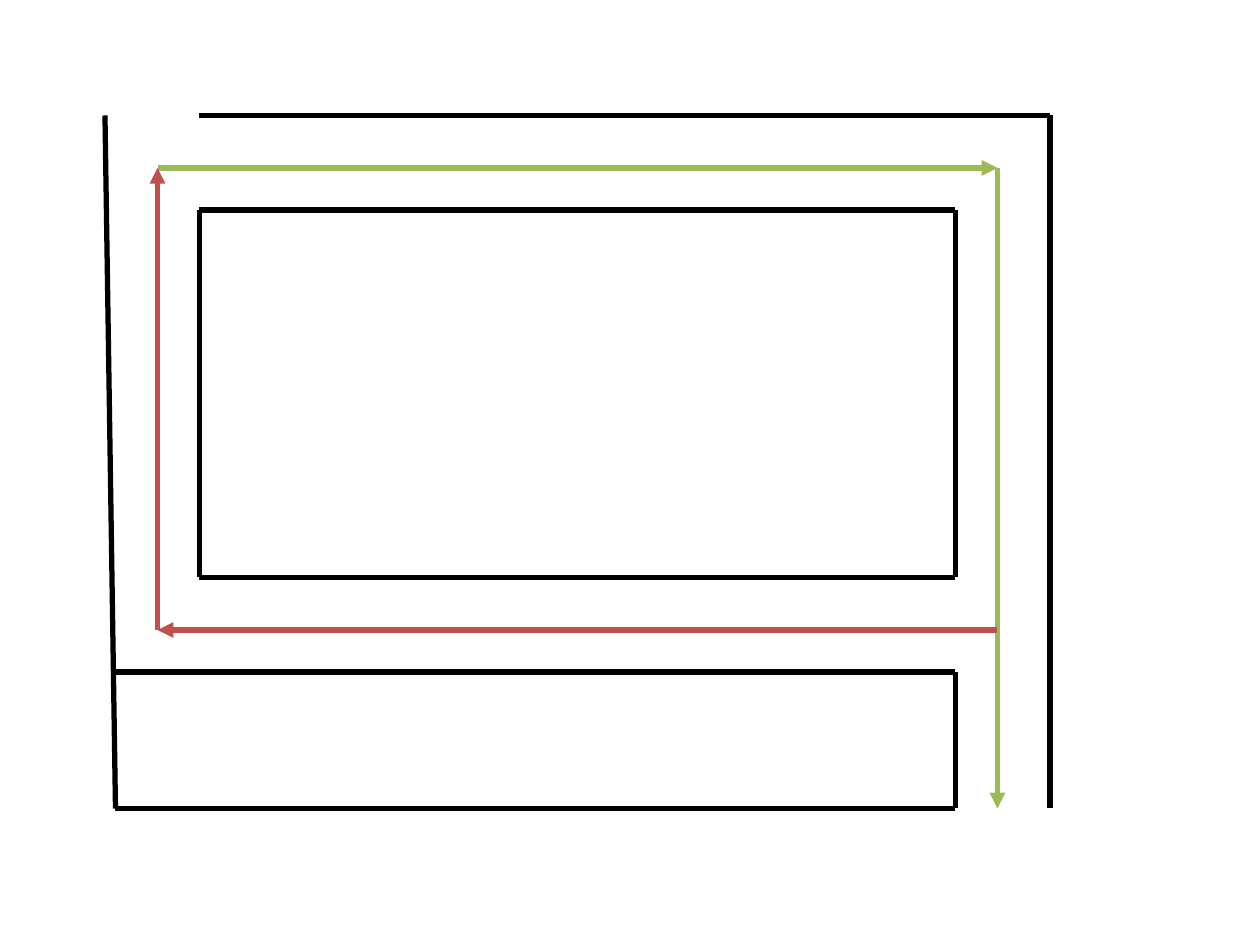
from itertools import pairwise

from pptx import Presentation
from pptx.dml.color import RGBColor
from pptx.enum.shapes import MSO_CONNECTOR
from pptx.oxml.ns import qn
from pptx.util import Emu, Pt
from lxml.etree import SubElement

PX = 7620  # EMU per px, 120 px to the inch
COLORS = {"wall": "000000", "outbound": "9BBB59", "inbound": "C0504D"}


class FloorPlan:
    """Draws walls and routes on one slide, with lengths in px."""

    def __init__(self, slide, width=3):
        self.s = slide
        self.width = Pt(width)

    def line(self, start, end, color, arrow=False):
        points = [Emu(v * PX) for v in (*start, *end)]
        c = self.s.shapes.add_connector(MSO_CONNECTOR.STRAIGHT, *points)
        c.line.width = self.width
        c.line.color.rgb = RGBColor.from_string(COLORS[color])
        if arrow:
            SubElement(c.line._get_or_add_ln(), qn("a:tailEnd"), type="triangle")
        SubElement(c._element.spPr, qn("a:effectLst"))

    def walls(self, *points):
        """Join the points in order with walls."""
        for start, end in pairwise(points):
            self.line(start, end, "wall")

    def route(self, color, *points):
        """Join the points in order with arrows."""
        for start, end in pairwise(points):
            self.line(start, end, color, arrow=True)


def main():
    prs = Presentation()
    prs.slide_width, prs.slide_height = Emu(1200 * PX), Emu(900 * PX)
    plan = FloorPlan(prs.slides.add_slide(prs.slide_layouts[6]))

    top, bottom = 110, 770
    block_left, block_right = 190, 910
    block_top, block_bottom = 200, 550
    path_left, path_right = 150, 950
    path_top, path_bottom = 160, 600

    # Outer walls, then the lower room
    plan.walls((block_left, top), (1000, top), (1000, bottom))
    plan.walls((100, top), (110, bottom), (block_right, bottom),
               (block_right, 640), (110, 640))

    # Central block
    plan.walls((block_left, block_top), (block_right, block_top),
               (block_right, block_bottom), (block_left, block_bottom),
               (block_left, block_top))

    plan.route("outbound", (path_left, path_top), (path_right, path_top),
               (path_right, bottom))
    plan.route("inbound", (path_right, path_bottom), (path_left, path_bottom),
               (path_left, path_top))

    prs.save("out.pptx")


if __name__ == "__main__":
    main()
